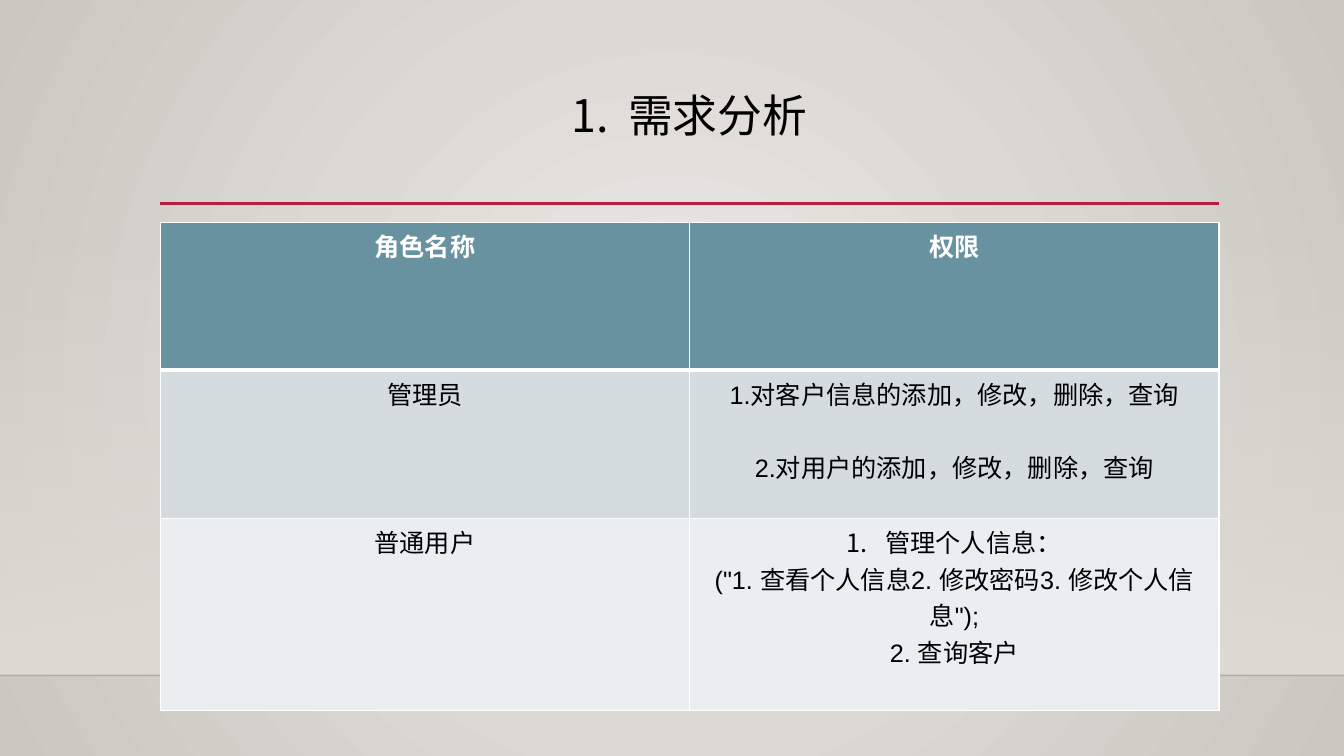
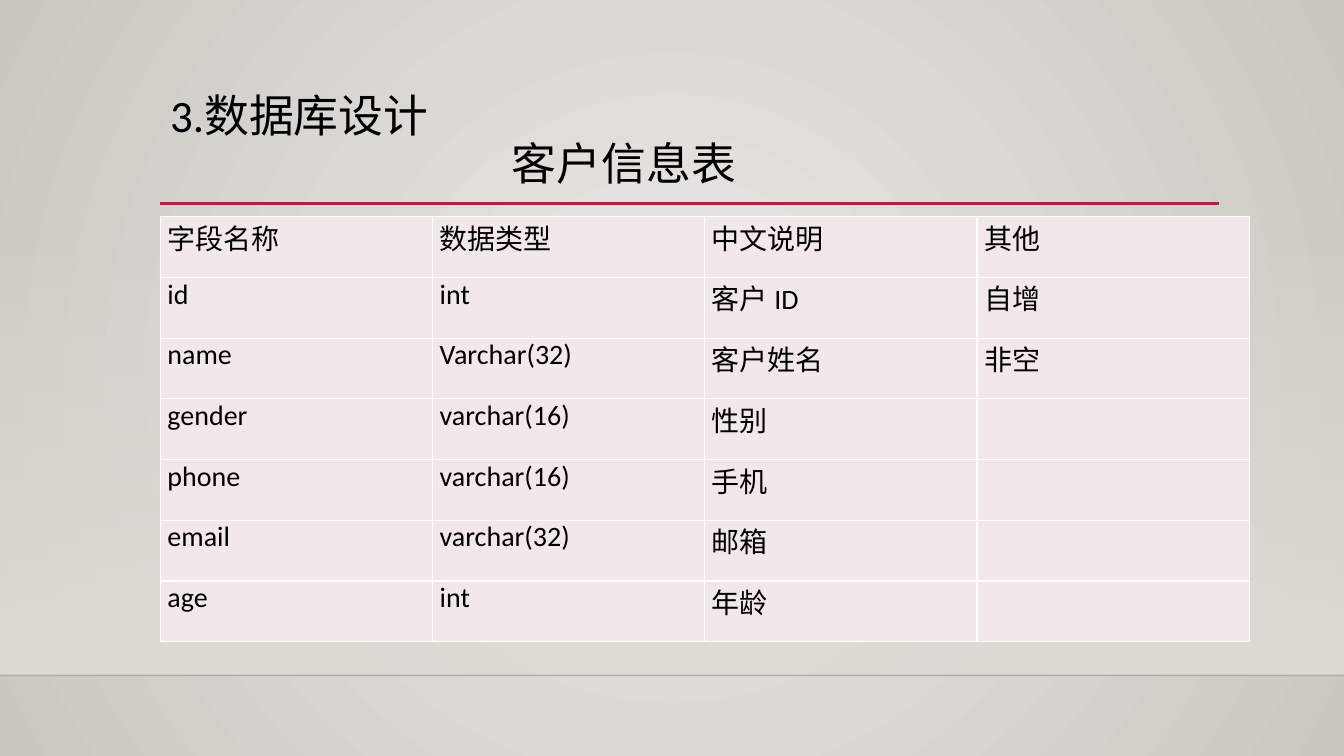
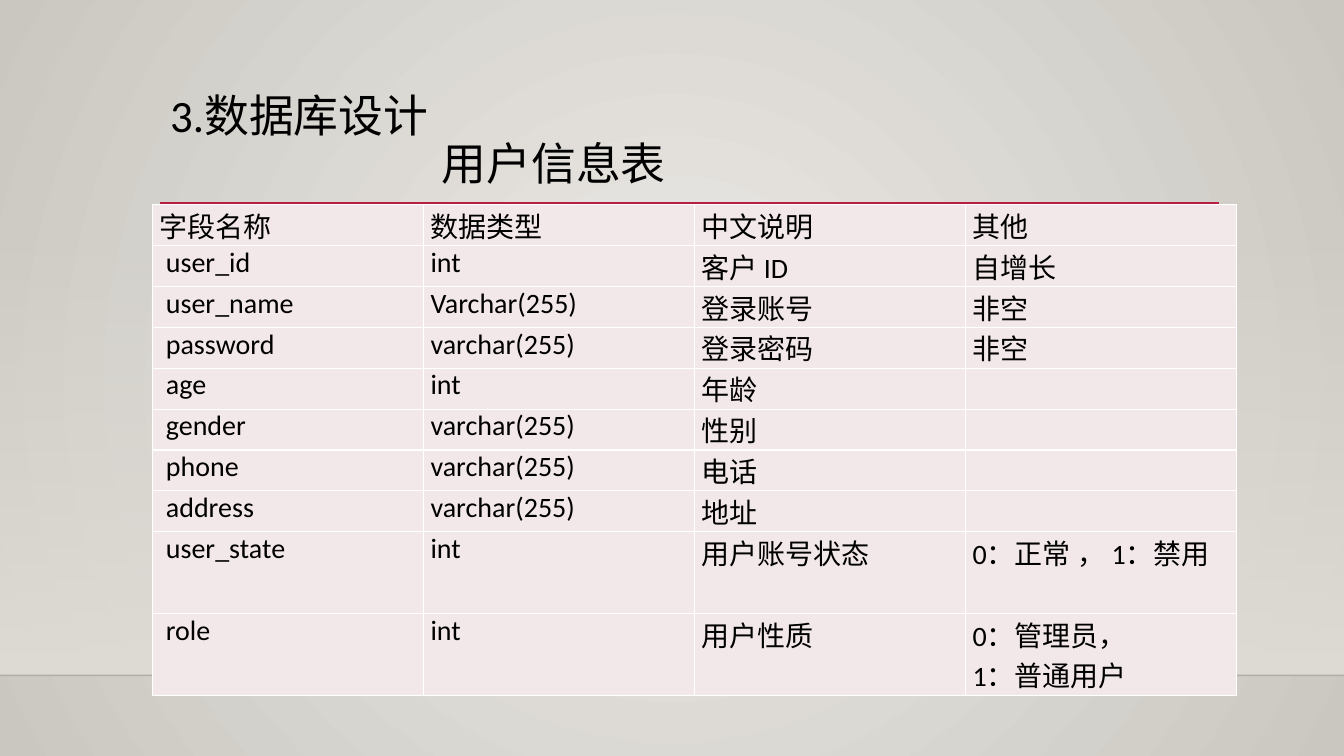
import dataclasses
import typing

import lxml.etree
import pptx
import pptx.dml.color
import pptx.enum.shapes
import pptx.enum.text
import pptx.oxml
import pptx.oxml.ns
import pptx.util

Cm = pptx.util.Cm
Pt = pptx.util.Pt
RGB = pptx.dml.color.RGBColor
Align = pptx.enum.text.PP_ALIGN
qn = pptx.oxml.ns.qn

# Colours
BLACK = RGB(0x00, 0x00, 0x00)
WHITE = RGB(0xFF, 0xFF, 0xFF)
GLOW = RGB(0xEC, 0xEA, 0xE7)
EDGE = RGB(0xCA, 0xC7, 0xC1)
WALL = RGB(0xDF, 0xDB, 0xD5)
FLOOR = RGB(0x00, 0x00, 0x01)
RED = RGB(0xB7, 0x1E, 0x42)
TEAL = RGB(0x68, 0x92, 0xA0)
MIST = RGB(0xD4, 0xDC, 0xDF)
PALE = RGB(0xEB, 0xEE, 0xF0)
PINK = RGB(0xF3, 0xE8, 0xE9)

# Shared places, in centimetres
WIDE, HIGH = 33.87, 19.05
LEFT, RIGHT = 4.04, 30.73
RULE_Y, WALL_Y, FLOOR_Y = 5.13, 5.61, 17.02


@dataclasses.dataclass(frozen=True)
class Line:
    """One paragraph; left and hang are in centimetres, after in points."""
    text: str
    left: float = 0
    hang: float = 0
    after: float = 0


Item = typing.Union[str, Line]
Cell = typing.Union[Item, tuple[Item, ...]]


@dataclasses.dataclass(frozen=True)
class Grid:
    left: float
    top: float
    col: float
    rows: list[float]
    cells: list[tuple[Cell, ...]]
    fills: list[RGB]
    font: str = "Calibri"
    size: float = 20
    head: bool = False
    align: Align = Align.LEFT
    pad: tuple[float, float] = (0.18, 0)


@dataclasses.dataclass(frozen=True)
class Page:
    title: tuple[Line, ...]
    grid: Grid
    align: Align = Align.LEFT


# XML helpers
def add_xml(host, tag: str, **attrs: object):
    node = lxml.etree.SubElement(host, qn(tag))
    for key, value in attrs.items():
        node.set(key, str(value))
    return node


def add_grad(host, stops: list[tuple[RGB, int]], round_: bool) -> None:
    """Swap the solid fill of host for a gradient of (colour, alpha %)."""
    old = host.find(qn("a:solidFill"))
    fill = pptx.oxml.parse_xml(
        f'<a:gradFill {pptx.oxml.ns.nsdecls("a")} rotWithShape="1"/>')
    stop_list = add_xml(fill, "a:gsLst")
    for i, (color, alpha) in enumerate(stops):
        stop = add_xml(stop_list, "a:gs", pos=i * 100000)
        tint = add_xml(stop, "a:srgbClr", val=color)
        add_xml(tint, "a:alpha", val=alpha * 1000)
    if round_:
        ring = add_xml(fill, "a:path", path="circle")
        add_xml(ring, "a:fillToRect", l=50000, t=50000, r=50000, b=50000)
    else:
        add_xml(fill, "a:lin", ang=5400000, scaled=0)
    host.replace(old, fill)


def add_edge(cell, sides: dict[str, float]) -> None:
    props = cell._tc.get_or_add_tcPr()
    for i, (side, width) in enumerate(sides.items()):
        edge = add_xml(props, f"a:ln{side}", w=Pt(width))
        add_xml(add_xml(edge, "a:solidFill"), "a:srgbClr", val=WHITE)
        props.insert(i, edge)


# Text
def write(frame, text: Cell, *, font: str = "Calibri", size: float = 20,
          color: RGB = BLACK, bold: bool = False, align: Align = Align.LEFT,
          space: typing.Optional[float] = None) -> None:
    items = text if isinstance(text, tuple) else (text,)
    for i, item in enumerate(items):
        line = Line(item) if isinstance(item, str) else item
        para = frame.paragraphs[0] if i == 0 else frame.add_paragraph()
        para.alignment = align
        if space:
            para.line_spacing = space
        if line.after:
            para.space_after = Pt(line.after)
        props = para._p.get_or_add_pPr()
        if line.left:
            props.set("marL", str(Cm(line.left)))
        if line.hang:
            props.set("indent", str(-Cm(line.hang)))
            add_xml(props, "a:buFont", typeface="+mj-ea")
            add_xml(props, "a:buAutoNum", type="arabicPeriod")
        if line.text:
            run = para.add_run()
            run.text = line.text
            run.font.name, run.font.size = font, Pt(size)
            run.font.bold, run.font.color.rgb = bold, color


# Slide parts
def add_rule(slide, left: float, right: float, y: float, color: RGB,
             width: float, alpha: int = 100) -> None:
    rule = slide.shapes.add_connector(
        pptx.enum.shapes.MSO_CONNECTOR.STRAIGHT,
        Cm(left), Cm(y), Cm(right), Cm(y))
    rule.line.color.rgb, rule.line.width = color, Pt(width)
    props = rule.element.spPr
    tint = next(props.iter(qn("a:srgbClr")))
    add_xml(tint, "a:alpha", val=alpha * 1000)
    add_xml(props, "a:effectLst")


def add_base(slide) -> None:
    wall = slide.shapes.add_shape(
        pptx.enum.shapes.MSO_SHAPE.RECTANGLE,
        0, Cm(WALL_Y), Cm(WIDE), Cm(FLOOR_Y - WALL_Y))
    wall.shadow.inherit = False
    wall.line.fill.background()
    wall.fill.solid()
    add_grad(wall.element.spPr, [(WALL, 0), (WALL, 100)], False)
    add_rule(slide, 0, WIDE, FLOOR_Y, FLOOR, 1, alpha=20)
    add_rule(slide, LEFT, RIGHT, RULE_Y, RED, 2.5)


def add_title(slide, page: Page) -> None:
    box = slide.shapes.add_textbox(Cm(LEFT), Cm(2.24), Cm(26.67), Cm(2.92))
    box.text_frame.word_wrap = True
    write(box.text_frame, page.title, size=32, align=page.align, space=0.9)


def add_grid(slide, grid: Grid) -> None:
    count = len(grid.cells[0])
    table = slide.shapes.add_table(
        len(grid.rows), count, Cm(grid.left), Cm(grid.top),
        Cm(grid.col * count), Cm(sum(grid.rows))).table
    table.first_row = table.horz_banding = False
    for col in table.columns:
        col.width = Cm(grid.col)
    for r, (high, texts) in enumerate(zip(grid.rows, grid.cells)):
        table.rows[r].height = Cm(high)
        head = grid.head and r == 0
        sides = {"L": 1, "R": 1, "T": 3 if grid.head and r == 1 else 1,
                 "B": 3 if head else 1}
        for c, text in enumerate(texts):
            cell = table.cell(r, c)
            cell.margin_left = cell.margin_right = Cm(grid.pad[0])
            cell.margin_top = cell.margin_bottom = Cm(grid.pad[1])
            add_edge(cell, sides)
            cell.fill.solid()
            cell.fill.fore_color.rgb = grid.fills[r % len(grid.fills)]
            write(cell.text_frame, text, font=grid.font, size=grid.size,
                  color=WHITE if head else BLACK, bold=head,
                  align=grid.align)


# Content
HEADS = ("字段名称", "数据类型", "中文说明", "其他")

ROLES = [
    ("角色名称", "权限"),
    ("管理员", (Line("1.对客户信息的添加，修改，删除，查询", after=26),
             "2.对用户的添加，修改，删除，查询")),
    ("普通用户", (Line("管理个人信息：", left=0.97, hang=0.97),
              "(\"1. 查看个人信息2. 修改密码3. 修改个人信息\");",
              "2. 查询客户")),
]

CLIENTS = [
    HEADS,
    ("id", "int", "客户 ID", "自增"),
    ("name", "Varchar(32)", "客户姓名", "非空"),
    ("gender", "varchar(16)", "性别", ""),
    ("phone", "varchar(16)", "手机", ""),
    ("email", "varchar(32)", "邮箱", ""),
    ("age", "int", "年龄", ""),
]

FIELDS = [
    ("user_id", "int", "客户 ID", "自增长"),
    ("user_name", "Varchar(255)", "登录账号", "非空"),
    ("password", "varchar(255)", "登录密码", "非空"),
    ("age", "int", "年龄", ""),
    ("gender", "varchar(255)", "性别", ""),
    ("phone", "varchar(255)", "电话", ""),
    ("address", "varchar(255)", "地址", ""),
    ("user_state", "int", "用户账号状态", "0：正常 ， 1：禁用"),
    ("role", "int", "用户性质", ("0：管理员，", "1：普通用户")),
]
USERS = [HEADS] + [(Line(name, left=0.16), *rest) for name, *rest in FIELDS]

DESIGN = Line("3.数据库设计")

PAGES = [
    Page((Line("需求分析", left=1.43, hang=1.43),),
         Grid(LEFT, 5.6, 13.34, [3.73] * 2 + [4.85], ROLES,
              [TEAL, MIST, PALE], font="Arial", size=18, head=True,
              align=Align.CENTER, pad=(0.25, 0.13)),
         align=Align.CENTER),
    Page((DESIGN, Line("客户信息表", left=8.61)),
         Grid(LEFT, 5.46, 6.86, [1.53] * 7, CLIENTS, [PINK])),
    Page((DESIGN, Line("用户信息表", left=6.84)),
         Grid(3.84, 5.16, 6.83, [1.03] * 8 + [2.06] * 2, USERS, [PINK])),
]


def main() -> None:
    deck = pptx.Presentation()
    deck.slide_width, deck.slide_height = Cm(WIDE), Cm(HIGH)
    master = deck.slide_master
    master.background.fill.solid()
    back = next(master.element.iter(qn("p:bgPr")))
    add_grad(back, [(GLOW, 100), (EDGE, 100)], True)
    for page in PAGES:
        slide = deck.slides.add_slide(deck.slide_layouts[6])
        add_base(slide)
        add_title(slide, page)
        add_grid(slide, page.grid)
    deck.save("out.pptx")


if __name__ == "__main__":
    main()
